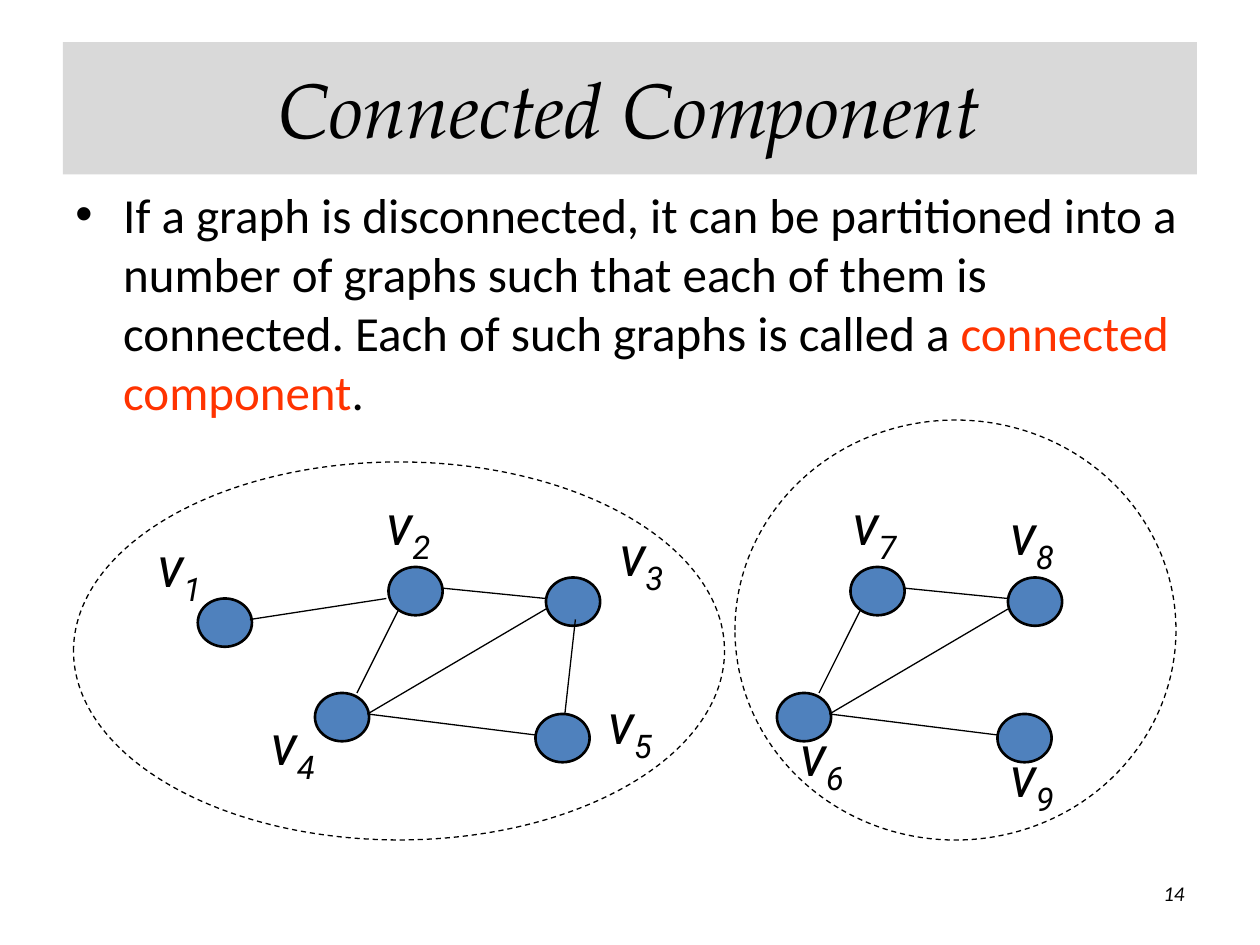
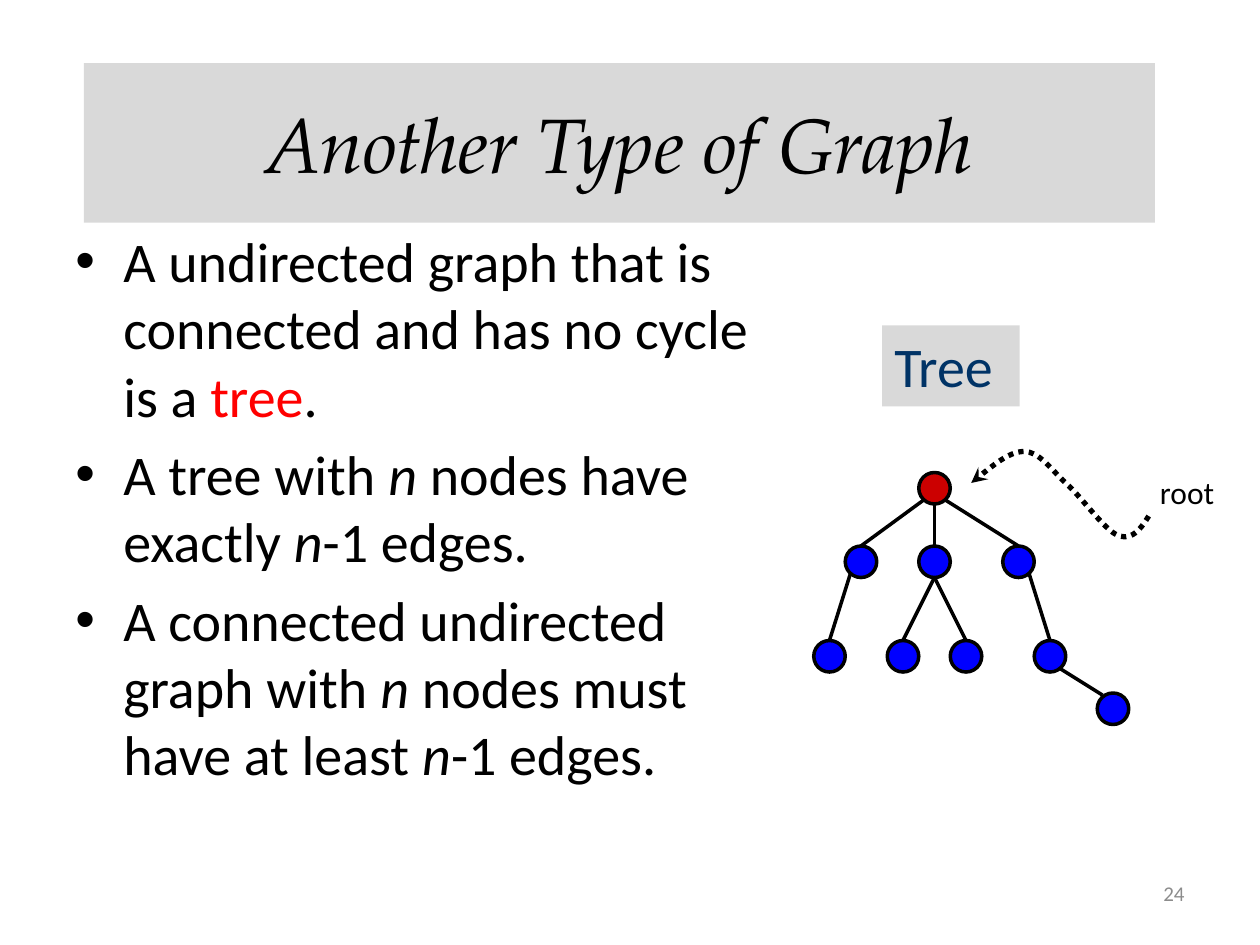
from dataclasses import dataclass
from typing import NamedTuple

from pptx import Presentation
from pptx.dml.color import RGBColor
from pptx.enum.dml import MSO_LINE_DASH_STYLE as Dash
from pptx.enum.shapes import MSO_CONNECTOR, MSO_SHAPE as Shape
from pptx.enum.text import MSO_ANCHOR as Anchor, MSO_AUTO_SIZE as AutoSize, PP_ALIGN as Align
from pptx.oxml.ns import qn
from pptx.util import Inches, Pt
from lxml.etree import SubElement

COLUMNS, ROWS = 120, 90
UNIT = Inches(10) // COLUMNS


@dataclass(frozen=True)
class Theme:
    black: str = "000000"
    band: str = "D9D9D9"
    gray: str = "8C8C8C"
    vertex: str = "4F81BD"
    tree_node: str = "0000FF"
    tree_root: str = "CC0000"
    navy: str = "003366"
    orange: str = "FF3300"
    red: str = "FF0000"
    title_font: str = "TeX Gyre Pagella"
    body_font: str = "Calibri"
    label_font: str = "Roboto"
    title_size: int = 44
    large: int = 32
    medium: int = 28
    small: int = 18
    tiny: int = 12


THEME = Theme()


class Box(NamedTuple):
    """A region in grid columns and rows."""
    left: float
    top: float
    width: float
    height: float

    def inside(self, left, top, width, height):
        return Box(self.left + left, self.top + top, width, height)

    def point(self, column, row):
        return emu(self.left + column), emu(self.top + row)

    def lengths(self):
        return [emu(value) for value in self]


def emu(units):
    return round(units * UNIT)


def rgb(color):
    return RGBColor.from_string(color)


def add_span(para, text, size, color=THEME.black, font=THEME.body_font, italic=False):
    span = para.add_run()
    span.text = text
    span.font.name, span.font.size = font, Pt(size)
    span.font.italic = italic
    span.font.color.rgb = rgb(color)
    return span


def add_textbox(page, box, wrap=True, fill=None):
    shape = page.shapes.add_textbox(*box.lengths())
    shape.text_frame.word_wrap = wrap
    if not wrap:
        shape.text_frame.auto_size = AutoSize.SHAPE_TO_FIT_TEXT
    if fill:
        shape.fill.solid()
        shape.fill.fore_color.rgb = rgb(fill)
    return shape.text_frame


def style_line(line, width, dash=None):
    line.color.rgb = rgb(THEME.black)
    line.width = Pt(width)
    if dash:
        line.dash_style = dash


def add_ellipse(page, box, width, fill=None, dash=None):
    shape = page.shapes.add_shape(Shape.OVAL, *box.lengths())
    shape.shadow.inherit = False
    if fill:
        shape.fill.solid()
        shape.fill.fore_color.rgb = rgb(fill)
    else:
        shape.fill.background()
    style_line(shape.line, width, dash)


def add_edges(page, box, edges, width):
    for start, end in edges:
        edge = page.shapes.add_connector(
            MSO_CONNECTOR.STRAIGHT, *box.point(*start), *box.point(*end))
        SubElement(edge._element.spPr, qn("a:effectLst"))
        style_line(edge.line, width)


def add_title(page, box, text):
    band = add_textbox(page, box, fill=THEME.band)
    band.vertical_anchor = Anchor.MIDDLE
    para = band.paragraphs[0]
    para.alignment = Align.CENTER
    add_span(para, text, THEME.title_size, font=THEME.title_font, italic=True)


def add_page_number(page, number, color, italic=False):
    frame = add_textbox(page, Box(86, 82, 28, 6.2))
    frame.vertical_anchor = Anchor.MIDDLE
    para = frame.paragraphs[0]
    para.alignment = Align.RIGHT
    add_span(para, number, THEME.tiny, color, italic=italic)


def add_bullets(page, box, bullets, size):
    """Each bullet is a list of (text, style) pairs."""
    frame = add_textbox(page, box)
    for index, pieces in enumerate(bullets):
        para = frame.add_paragraph() if index else frame.paragraphs[0]
        para.space_before = Pt(0.2 * size)
        props = para._p.get_or_add_pPr()
        props.set("marL", str(Inches(0.38)))
        props.set("indent", str(-Inches(0.38)))
        SubElement(props, qn("a:buFont")).set("typeface", "Arial")
        SubElement(props, qn("a:buChar")).set("char", "•")
        for text, style in pieces:
            add_span(para, text, size, **style)


def add_vertex_label(page, box, subscript):
    para = add_textbox(page, box, wrap=False).paragraphs[0]
    for text in ("v", subscript):
        span = add_span(para, text, THEME.large, font=THEME.label_font, italic=True)
    span.font._element.set("baseline", "-25000")


def add_component(page, box, hull, labels, extra_nodes=(), extra_edges=()):
    """Four shared vertices and edges, plus those of this component only."""
    nodes = [(7, 0), (22, 1), (21, 14), (0, 12), *extra_nodes]
    edges = [((22, 3), (12, 2)), ((21, 16), (5, 14)),
             ((22, 4), (5, 14)), ((8, 4), (4, 12)), *extra_edges]
    for node in nodes:
        add_ellipse(page, box.inside(*node, 5.16, 4.6), 1.5, THEME.vertex)
    add_edges(page, box, edges, 0.75)
    for subscript, place in labels.items():
        add_vertex_label(page, box.inside(*place, 7.1, 7.7), subscript)
    add_ellipse(page, hull, 0.75, dash=Dash.DASH)


def add_tree(page, box):
    root, *nodes = [(10, 0), (3, 7), (10, 7), (18, 7),
                    (0, 16), (7, 16), (13, 16), (21, 16), (27, 21)]
    edges = [((11.5, 3), (11.5, 7)), ((10.5, 2.6), (4.5, 7)), ((12.5, 2.6), (19.5, 7)),
             ((11.5, 10), (8.5, 16)), ((11.5, 10), (14.5, 16)),
             ((3.5, 9.6), (1.5, 16)), ((20.5, 9.6), (22.5, 16)),
             ((23.5, 18.7), (27.5, 21.2))]
    for node in nodes:
        add_ellipse(page, box.inside(*node, 3, 3), 2, THEME.tree_node)
    add_edges(page, box, edges, 2)
    add_ellipse(page, box.inside(*root, 3, 3), 2, THEME.tree_root)


def bezier_points(start, curves, steps=16):
    """Points along a chain of cubic curves, without the start."""
    for first, second, end in curves:
        for step in range(1, steps + 1):
            t = step / steps
            weights = ((1 - t) ** 3, 3 * t * (1 - t) ** 2, 3 * t ** 2 * (1 - t), t ** 3)
            corners = (start, first, second, end)
            yield tuple(sum(weight * corner[axis] for weight, corner in zip(weights, corners))
                        for axis in (0, 1))
        start = end


def add_root_pointer(page, box):
    start = (0, 3)
    curves = [((1.8, 1.56), (3.5, 0), (5, 0)), ((6.5, 0), (7.6, 1.7), (9, 3)),
              ((10.5, 4.3), (12.7, 7.5), (14, 8)), ((15.4, 8.5), (16.2, 7.3), (17, 6))]
    builder = page.shapes.build_freeform(*box.point(*start))
    builder.add_line_segments(
        [box.point(*point) for point in bezier_points(start, curves)], close=False)
    pointer = builder.convert_to_shape()
    pointer.shadow.inherit = False
    pointer.fill.background()
    style_line(pointer.line, 3, Dash.ROUND_DOT)
    SubElement(pointer.line._get_or_add_ln(), qn("a:headEnd")).set("type", "stealth")
    label = add_textbox(page, box.inside(16.8, 1.5, 8.4, 4.8), wrap=False)
    add_span(label.paragraphs[0], "root", THEME.small)


def build_component_page(page):
    add_page_number(page, "14", THEME.black, italic=True)
    add_title(page, Box(6, 4, 108, 12.6), "Connected Component")
    add_bullets(page, Box(6, 17, 108, 63.4), [[
        ("If a graph is disconnected, it can be partitioned into a number of graphs such "
         "that each of them is connected. Each of such graphs is called a ", {}),
        ("connected component", {"color": THEME.orange}),
        (".", {})]], THEME.medium)
    add_component(
        page, Box(30, 54, 27, 19), Box(7, 44, 62, 36),
        {"1": (-16.2, -4), "2": (5.6, -8), "3": (27.8, -5), "4": (-5.4, 13), "5": (26.7, 11)},
        extra_nodes=[(-11.16, 3)],
        extra_edges=[((-6.2, 5), (6.8, 3)), ((23.8, 14), (24.8, 5))])
    add_component(
        page, Box(74, 54, 27, 19), Box(70, 40, 42, 40),
        {"6": (1, 14), "7": (6, -8), "8": (21, -7), "9": (21, 16)})


def build_tree_page(page):
    variable = ("n", {"italic": True})
    add_page_number(page, "24", THEME.gray)
    add_title(page, Box(8, 6, 102, 15.2), "Another Type of Graph")
    add_bullets(page, Box(6, 21, 68, 58), [
        [("A undirected graph that is connected and has no cycle is a ", {}),
         ("tree", {"color": THEME.red}), (".", {})],
        [("A tree with ", {}), variable, (" nodes have exactly ", {}),
         variable, ("-1 edges.", {})],
        [("A connected undirected graph with ", {}), variable,
         (" nodes must have at least ", {}), variable, ("-1 edges.", {})]], THEME.large)
    caption = add_textbox(page, Box(84, 31, 13.1, 7.7), wrap=False, fill=THEME.band)
    add_span(caption.paragraphs[0], "Tree", THEME.large, THEME.navy)
    add_root_pointer(page, Box(92.5, 43, 17, 8.5))
    add_tree(page, Box(77.5, 45, 30, 24))


def main():
    deck = Presentation()
    deck.slide_width, deck.slide_height = COLUMNS * UNIT, ROWS * UNIT
    for build_page in (build_component_page, build_tree_page):
        build_page(deck.slides.add_slide(deck.slide_layouts[6]))
    deck.save("out.pptx")


if __name__ == "__main__":
    main()
